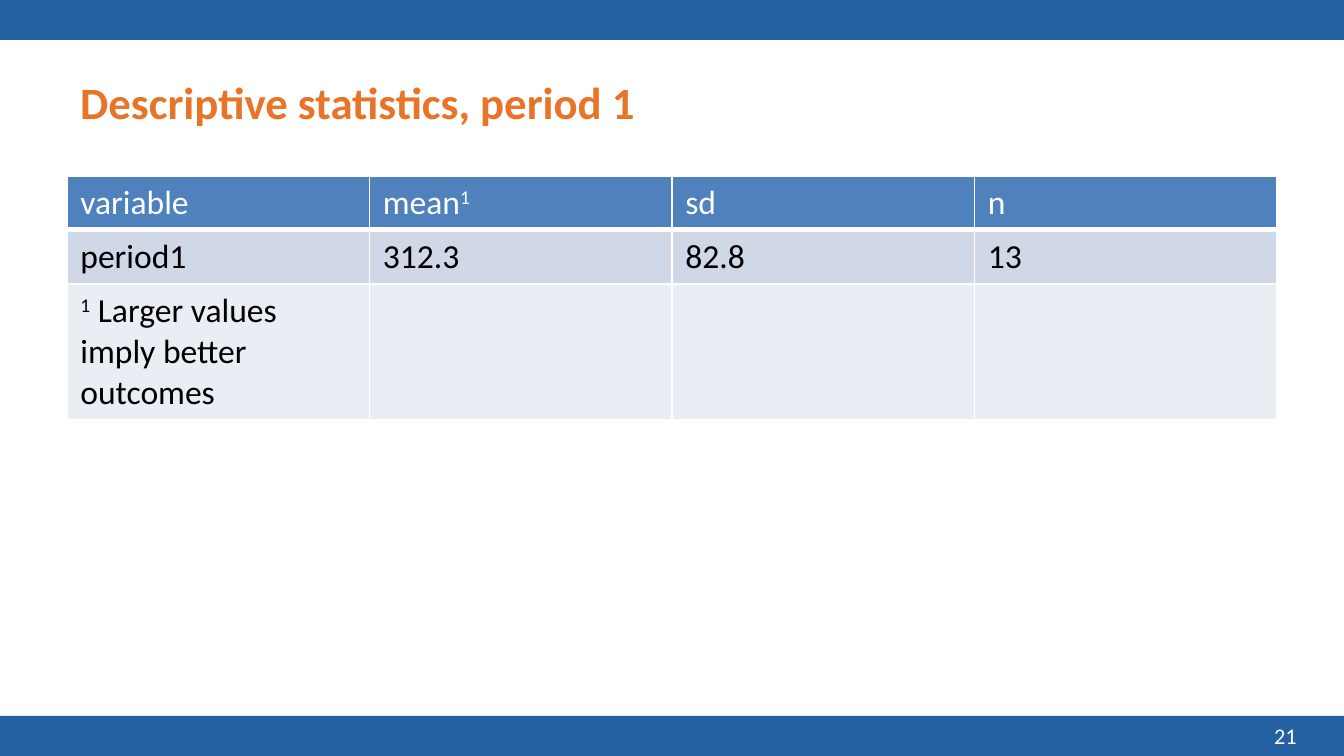
from lxml import etree
from pptx import Presentation
from pptx import util as u
from pptx.dml.color import RGBColor
from pptx.enum import shapes, text
from pptx.oxml import ns

EMU_PER_PX = 914400 / 134.4
COLORS = {
    "bar": "2361A1",
    "title": "E87427",
    "header": "4F81BD",
    "odd_row": "D0D8E8",
    "even_row": "E9EDF4",
    "white": "FFFFFF",
    "black": "000000",
}
FORMATS = {
    "title": {"size": u.Pt(24), "bold": True, "name": "Calibri"},
    "table": {"size": u.Pt(18), "bold": False, "name": "Calibri"},
    "number": {"size": u.Pt(12), "bold": False, "name": "Calibri"},
}
ROWS = [
    {"height": 54, "fill": "header", "color": "white", "bottom": 3,
     "cells": [["variable"], ["mean", "^1"], ["sd"], ["n"]]},
    {"height": 54, "fill": "odd_row", "color": "black", "bottom": 1,
     "cells": [["period1"], ["312.3"], ["82.8"], ["13"]]},
    {"height": 136, "fill": "even_row", "color": "black", "bottom": 1,
     "cells": [["^1", " Larger values imply better outcomes"], [], [], []]},
]


def px(length):
    """Turn pixels into EMU."""
    return u.Emu(round(length * EMU_PER_PX))


def rgb(name):
    """Look up a colour by name."""
    return RGBColor.from_string(COLORS[name])


def write(paragraph, parts, style, color):
    """Add runs to a paragraph, raising those that start with a caret."""
    for part in parts:
        run = paragraph.add_run()
        run.text = part.lstrip("^")
        for key, value in FORMATS[style].items():
            setattr(run.font, key, value)
        run.font.color.rgb = rgb(color)
        if part.startswith("^"):
            run.font._element.set("baseline", "30000")


def add_bar(slide, left, top, width, height):
    """Draw a plain band across the slide."""
    shape = slide.shapes.add_shape(
        shapes.MSO_SHAPE.RECTANGLE, px(left), px(top), px(width), px(height))
    shape.shadow.inherit = False
    shape.fill.solid()
    shape.fill.fore_color.rgb = rgb("bar")
    shape.line.fill.background()


def add_label(slide, box, words, style, color, align):
    """Place one line of text, centred vertically in its box."""
    frame = slide.shapes.add_textbox(*map(px, box)).text_frame
    frame.word_wrap = True
    frame.vertical_anchor = text.MSO_ANCHOR.MIDDLE
    frame.paragraphs[0].alignment = align
    write(frame.paragraphs[0], [words], style, color)


def add_borders(cell, bottom):
    """Give a cell white borders, with its own bottom width in points."""
    properties = cell._tc.get_or_add_tcPr()
    widths = {"lnL": 1, "lnR": 1, "lnT": 1, "lnB": bottom}
    for index, (side, width) in enumerate(widths.items()):
        line = etree.Element(ns.qn(f"a:{side}"), w=str(u.Pt(width)))
        fill = etree.SubElement(line, ns.qn("a:solidFill"))
        etree.SubElement(fill, ns.qn("a:srgbClr"), val=COLORS["white"])
        properties.insert(index, line)


def add_statistics(slide, left, top, width):
    """Build the statistics table with equal columns."""
    count = len(ROWS[0]["cells"])
    height = sum(row["height"] for row in ROWS)
    table = slide.shapes.add_table(
        len(ROWS), count, px(left), px(top), px(width), px(height)).table
    for column in table.columns:
        column.width = px(width / count)
    for row, data in zip(table.rows, ROWS):
        row.height = px(data["height"])
        for cell, parts in zip(row.cells, data["cells"]):
            cell.fill.solid()
            cell.fill.fore_color.rgb = rgb(data["fill"])
            add_borders(cell, data["bottom"])
            write(cell.text_frame.paragraphs[0], parts, "table", data["color"])


def main():
    """Assemble the slide and save it."""
    presentation = Presentation()
    presentation.slide_width, presentation.slide_height = px(1344), px(756)
    slide = presentation.slides.add_slide(presentation.slide_layouts[6])
    for top in (0, 716):
        add_bar(slide, 0, top, 1344, 40)
    add_label(slide, (67, 39, 1210, 126), "Descriptive statistics, period 1",
              "title", "title", text.PP_ALIGN.LEFT)
    add_statistics(slide, 67, 176, 1210)
    add_label(slide, (997, 716, 313, 40), "21",
              "number", "white", text.PP_ALIGN.RIGHT)
    presentation.save("out.pptx")


if __name__ == "__main__":
    main()
